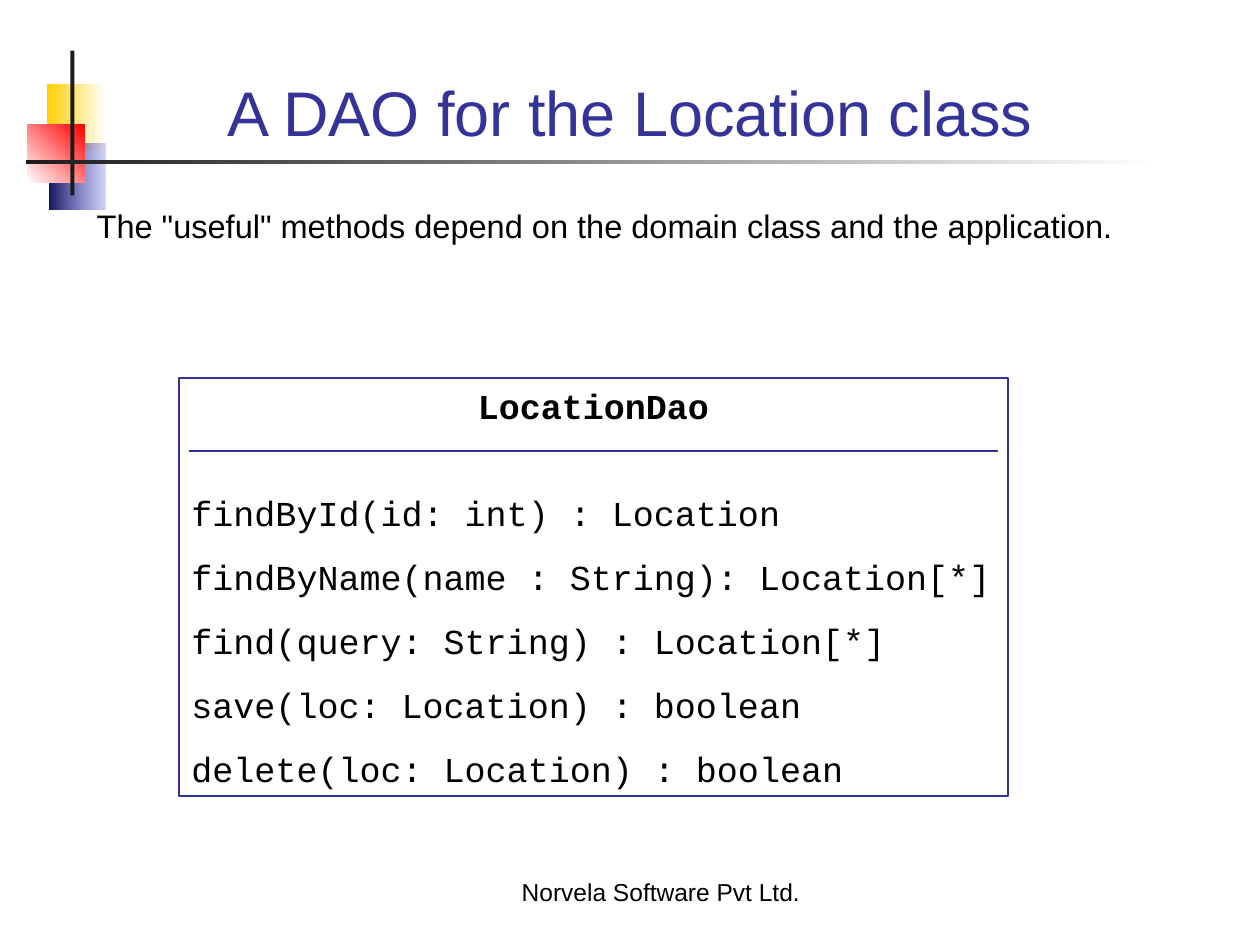
from dataclasses import dataclass
from typing import Optional

from lxml.etree import SubElement
from pptx import Presentation
from pptx.dml.color import RGBColor
from pptx.enum.shapes import MSO_CONNECTOR, MSO_SHAPE
from pptx.enum.text import MSO_ANCHOR, MSO_AUTO_SIZE, PP_ALIGN
from pptx.oxml.ns import qn
from pptx.util import Cm, Pt


@dataclass(frozen=True)
class Theme:
    sans: str = "Arial"
    mono: str = "Courier New"
    accent: str = "333399"
    ink: str = "000000"
    dark: str = "1C1C1C"
    white: str = "FFFFFF"
    yellow: str = "FFCF01"
    red: str = "FF0000"
    navy: str = "18185E"
    blue: str = "3333CC"
    title_size: float = 36
    body_size: float = 18.6
    code_size: float = 20
    footer_size: float = 14
    line_width: float = 0.75


@dataclass(frozen=True)
class Area:
    left: float
    top: float
    width: float
    height: float

    def lengths(self) -> tuple:
        return Cm(self.left), Cm(self.top), Cm(self.width), Cm(self.height)


@dataclass(frozen=True)
class Ornament:
    area: Area
    start: str
    end: Optional[str] = None
    angle: float = 0
    end_opacity: int = 100


THEME = Theme()
ORNAMENTS = [
    Ornament(Area(0.94, 1.7, 1.19, 1.32), THEME.yellow, THEME.white),
    Ornament(Area(0.99, 2.9, 1.14, 1.32), THEME.navy, THEME.blue, end_opacity=20),
    Ornament(Area(0.56, 2.51, 1.14, 1.17), THEME.white, THEME.red, angle=45),
    Ornament(Area(1.42, 1.02, 0.08, 2.92), THEME.dark),
    Ornament(Area(0.53, 3.23, 22.86, 0.08), THEME.dark, THEME.white),
]
METHODS = [
    "findById(id: int) : Location",
    "findByName(name : String): Location[*]",
    "find(query: String) : Location[*]",
    "save(loc: Location) : boolean",
    "delete(loc: Location) : boolean",
]


def color(value: str) -> RGBColor:
    return RGBColor.from_string(value)


def draw_ornament(page, ornament: Ornament) -> None:
    shape = page.shapes.add_shape(MSO_SHAPE.RECTANGLE, *ornament.area.lengths())
    shape.shadow.inherit = False
    shape.line.fill.background()
    if ornament.end is None:
        shape.fill.solid()
        shape.fill.fore_color.rgb = color(ornament.start)
        return
    shape.fill.gradient()
    shape.fill.gradient_angle = ornament.angle
    for stop, value in zip(shape.fill.gradient_stops, (ornament.start, ornament.end)):
        stop.color.rgb = color(value)
    if ornament.end_opacity < 100:
        last_color = list(shape.element.spPr.iter(qn("a:srgbClr")))[-1]
        SubElement(last_color, qn("a:alpha"), val=str(ornament.end_opacity * 1000))


def style_paragraph(para, name: str, size: float, value: str,
                    align=PP_ALIGN.LEFT, bold: bool = False) -> None:
    para.alignment = align
    para.font.name = name
    para.font.size = Pt(size)
    para.font.color.rgb = color(value)
    para.font.bold = bold


def set_text(box, text: str, size: float, value: str, align, anchor) -> None:
    frame = box.text_frame
    frame.word_wrap = True
    frame.auto_size = MSO_AUTO_SIZE.NONE
    frame.vertical_anchor = anchor
    frame.text = text
    style_paragraph(frame.paragraphs[0], THEME.sans, size, value, align)


def draw_class_box(page, area: Area, name: str, methods: list[str]) -> None:
    box = page.shapes.add_shape(MSO_SHAPE.RECTANGLE, *area.lengths())
    box.shadow.inherit = False
    box.fill.background()
    box.line.color.rgb = color(THEME.accent)
    box.line.width = Pt(THEME.line_width)
    frame = box.text_frame
    frame.word_wrap = True
    frame.vertical_anchor = MSO_ANCHOR.TOP
    heading = frame.paragraphs[0]
    heading.text = name
    heading.space_after = Pt(25)
    style_paragraph(heading, THEME.mono, THEME.code_size, THEME.ink,
                    PP_ALIGN.CENTER, bold=True)
    for method in methods:
        para = frame.add_paragraph()
        para.text = method
        para.space_before = Pt(12.5)
        style_paragraph(para, THEME.mono, THEME.code_size, THEME.ink)


def draw_divider(page, left: float, right: float, top: float) -> None:
    line = page.shapes.add_connector(
        MSO_CONNECTOR.STRAIGHT, Cm(right), Cm(top), Cm(left), Cm(top))
    line.line.color.rgb = color(THEME.accent)
    line.line.width = Pt(THEME.line_width)
    SubElement(line.element.spPr, qn("a:effectLst"))


def main() -> None:
    deck = Presentation()
    deck.slide_width, deck.slide_height = Cm(25.4), Cm(19.05)
    page = deck.slides.add_slide(deck.slide_layouts[5])

    for ornament in ORNAMENTS:
        draw_ornament(page, ornament)

    title = page.shapes.title
    title.left, title.top, title.width, title.height = Area(1.7, 0.72, 22, 2.41).lengths()
    set_text(title, "A DAO for the Location class", THEME.title_size, THEME.accent,
             PP_ALIGN.CENTER, MSO_ANCHOR.BOTTOM)

    body = page.shapes.add_textbox(*Area(1.7, 4.02, 22, 1.9).lengths())
    set_text(body, 'The "useful" methods depend on the domain class and the application.',
             THEME.body_size, THEME.ink, PP_ALIGN.LEFT, MSO_ANCHOR.TOP)

    draw_class_box(page, Area(3.61, 7.62, 16.71, 8.43), "LocationDao", METHODS)
    draw_divider(page, 3.81, 20.12, 9.09)

    footer = page.shapes.add_textbox(*Area(9.3, 17.12, 8.05, 1.27).lengths())
    set_text(footer, "Norvela Software Pvt Ltd.", THEME.footer_size, THEME.ink,
             PP_ALIGN.CENTER, MSO_ANCHOR.BOTTOM)

    deck.save("out.pptx")


if __name__ == "__main__":
    main()
